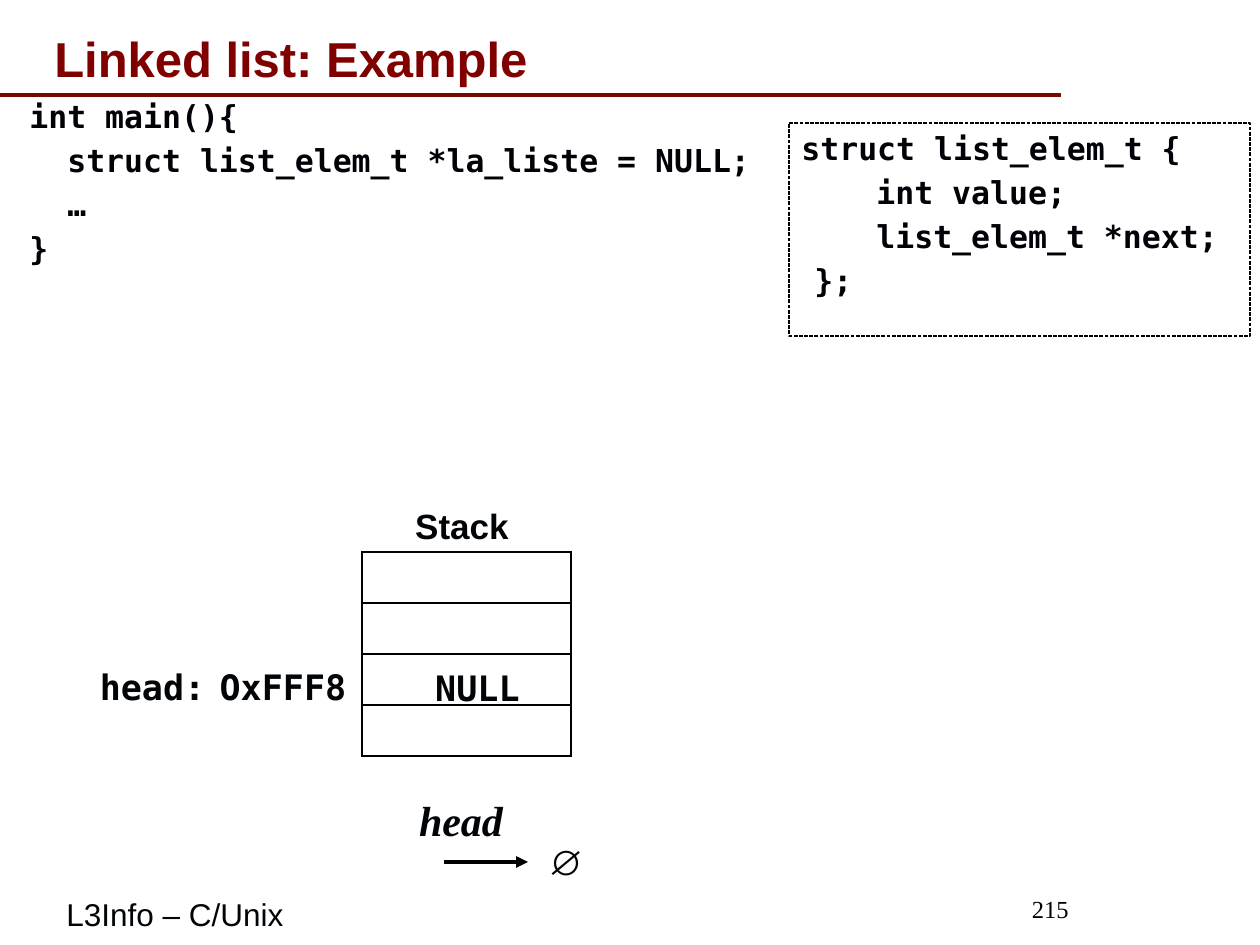
import lxml.etree
import pptx
import pptx.dml.color
import pptx.enum.dml
import pptx.enum.shapes
import pptx.enum.text
import pptx.oxml.ns
import pptx.util

PX = 914400 / 126
COLORS = {"rule": "730B03", "title": "800000", "code": "000208",
          "label": "010507", "line": "000000"}
ALIGN = pptx.enum.text.PP_ALIGN
ANCHOR = pptx.enum.text.MSO_ANCHOR
SHAPES = pptx.enum.shapes
CODE = {"name": "DejaVu Sans Mono", "size": pptx.util.Pt(18), "bold": True}
CELL = CODE | {"size": pptx.util.Pt(20)}
HEADING = {"name": "Arial", "size": pptx.util.Pt(28), "bold": True}
LABEL = HEADING | {"size": pptx.util.Pt(20)}
FOOTER = {"name": "Arial", "size": pptx.util.Pt(18), "bold": False}
NUMBER = {"name": "Times New Roman", "size": pptx.util.Pt(14), "bold": False}
POINTER = {"name": "Times New Roman", "size": pptx.util.Pt(24), "bold": True, "italic": True}


def px(*lengths):
    """Turn px lengths into EMU."""
    return [pptx.util.Emu(round(length * PX)) for length in lengths]


def rgb(color):
    """Look up a named colour."""
    return pptx.dml.color.RGBColor.from_string(COLORS[color])


def add_child(parent, tag, **attributes):
    """Append a DrawingML element to a parent."""
    return lxml.etree.SubElement(parent, pptx.oxml.ns.qn(tag), attributes)


def write_lines(frame, lines, style, color, align=ALIGN.LEFT, anchor=ANCHOR.TOP, wrap=True):
    """Fill a text frame with (text, indent) lines in one style."""
    frame.word_wrap = wrap
    frame.vertical_anchor = anchor
    for number, (text, indent) in enumerate(lines):
        paragraph = frame.add_paragraph() if number else frame.paragraphs[0]
        paragraph.alignment = align
        if number:
            paragraph.space_before = pptx.util.Pt(3.6)
        if indent:
            paragraph._p.get_or_add_pPr().set("marL", str(px(indent)[0]))
        run = paragraph.add_run()
        run.text = text
        for attribute, value in style.items():
            setattr(run.font, attribute, value)
        run.font.color.rgb = rgb(color)


def add_text(slide, bounds, lines, style, color="label", **layout):
    """Add a text box."""
    box = slide.shapes.add_textbox(*px(*bounds))
    write_lines(box.text_frame, lines, style, color, **layout)


def add_line(slide, ends, color, arrow=False):
    """Add a straight line, with an arrowhead if asked."""
    line = slide.shapes.add_connector(SHAPES.MSO_CONNECTOR.STRAIGHT, *px(*ends))
    line.line.color.rgb = rgb(color)
    line.line.width = pptx.util.Pt(2.25)
    if arrow:
        add_child(line.line._get_or_add_ln(), "a:tailEnd", type="triangle")
    add_child(line._element.spPr, "a:effectLst")


def add_struct_box(slide, bounds, lines):
    """Add the dashed frame that holds the struct definition."""
    frame = slide.shapes.add_shape(SHAPES.MSO_SHAPE.RECTANGLE, *px(*bounds))
    frame.shadow.inherit = False
    frame.fill.background()
    frame.line.color.rgb = rgb("line")
    frame.line.width = pptx.util.Pt(0.75)
    frame.line.dash_style = pptx.enum.dml.MSO_LINE.SQUARE_DOT
    write_lines(frame.text_frame, lines, CODE, "code")


def add_stack(slide, bounds, rows):
    """Add the stack as a bordered one-column table."""
    stack = slide.shapes.add_table(rows, 1, *px(*bounds)).table
    stack.first_row = stack.horz_banding = False
    for row in range(rows):
        cell = stack.cell(row, 0)
        properties = cell._tc.get_or_add_tcPr()
        for side in ("a:lnL", "a:lnR", "a:lnT", "a:lnB"):
            border = add_child(properties, side, w=str(pptx.util.Pt(0.75)))
            add_child(add_child(border, "a:solidFill"), "a:srgbClr", val=COLORS["line"])
        cell.fill.background()


def main():
    """Build the linked list slide."""
    deck = pptx.Presentation()
    deck.slide_width, deck.slide_height = px(1260, 945)
    slide = deck.slides.add_slide(deck.slide_layouts[6])

    add_line(slide, (0, 95, 1061, 95), "rule")
    add_text(slide, (873, 882, 208, 53), [("215", 0)], NUMBER, "code",
             align=ALIGN.RIGHT, anchor=ANCHOR.MIDDLE)
    program = ["int main(){", "  struct list_elem_t *la_liste = NULL;", "  …", "}"]
    add_text(slide, (4, 91, 1197, 725), [(line, 13) for line in program], CODE, "code")
    add_text(slide, (42, 21, 1071, 73), [("Linked list: Example", 0)], HEADING, "title",
             anchor=ANCHOR.BOTTOM)
    add_text(slide, (54, 882, 775, 63), [("L3Info – C/Unix", 0)], FOOTER,
             anchor=ANCHOR.MIDDLE)

    add_stack(slide, (362, 552, 209, 204), 4)
    labels = [
        ("NULL", (422, 660, 111, 55), CELL),
        ("Stack", (402, 498, 120, 55), LABEL),
        ("head:", (87, 659, 131, 55), CELL),
        ("OxFFF8", (207, 659, 152, 55), CELL),
        ("head", (389, 788, 144, 63), POINTER),
        ("∅", (536, 834, 54, 54), LABEL),
    ]
    for text, bounds, style in labels:
        add_text(slide, bounds, [(text, 0)], style, align=ALIGN.CENTER, wrap=False)
    add_line(slide, (444, 862, 528, 862), "line", arrow=True)

    add_struct_box(slide, (789, 123, 461, 213), [
        ("struct list_elem_t {", 0), ("int value;", 75),
        ("list_elem_t *next;", 75), ("};", 13)])
    deck.save("out.pptx")


if __name__ == "__main__":
    main()
